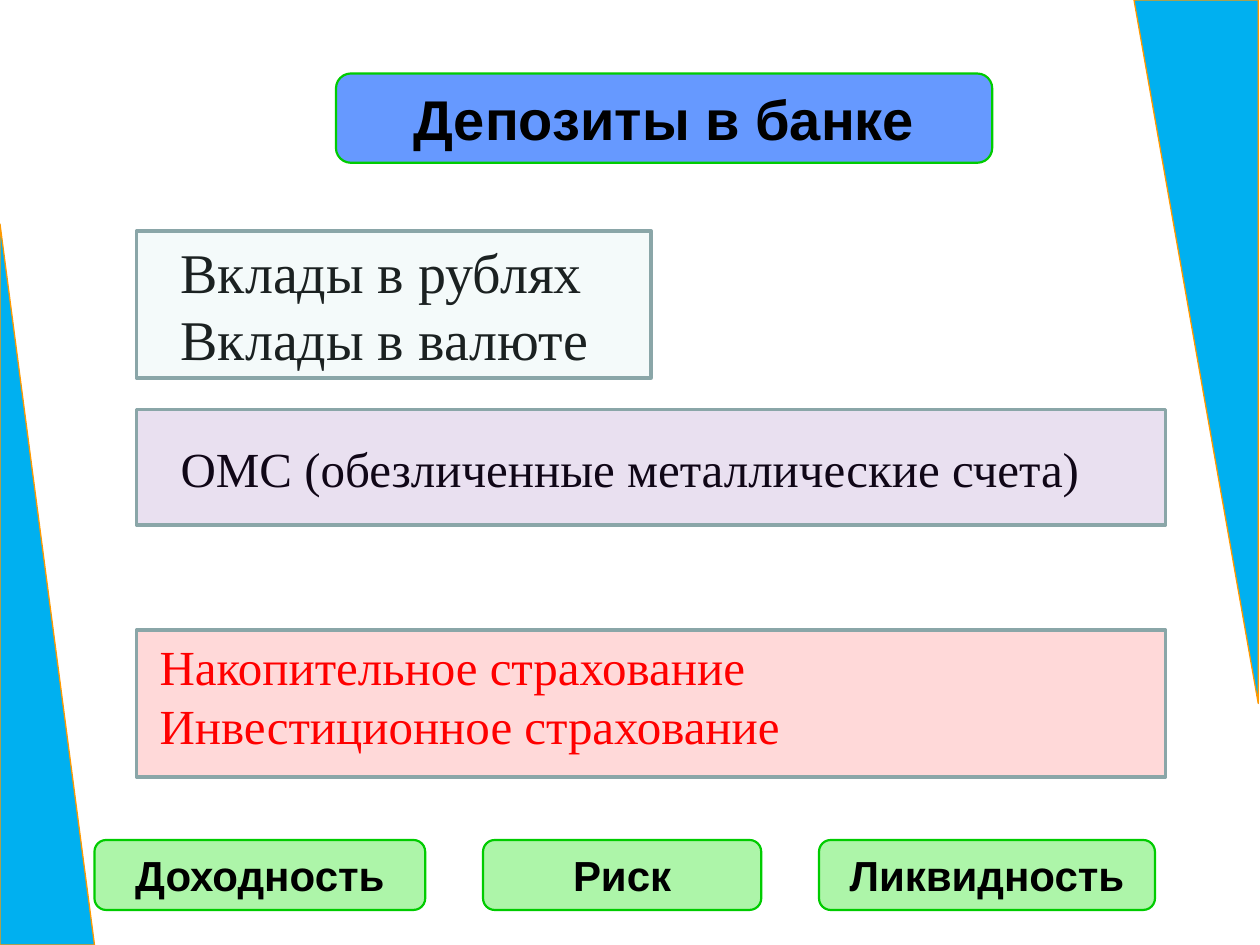
from lxml import etree
from pptx import Presentation
from pptx import util as u
from pptx.dml.color import RGBColor
from pptx.enum import shapes, text
from pptx.oxml.ns import qn

BLACK = RGBColor(0x00, 0x00, 0x00)
RED = RGBColor(0xFF, 0x00, 0x00)
SKY = RGBColor(0x00, 0xB0, 0xF0)
ORANGE = RGBColor(0xFF, 0x99, 0x00)
BLUE = RGBColor(0x66, 0x99, 0xFF)
GREEN = RGBColor(0x00, 0xCC, 0x00)
LIME = RGBColor(0xAD, 0xF5, 0xA9)
TEAL = RGBColor(0xBB, 0xE0, 0xE3)
PURPLE = RGBColor(0x70, 0x30, 0xA0)
GREY = RGBColor(0x8A, 0xA6, 0xA8)
KIND = shapes.MSO_SHAPE


class Deck:
    sans = "Arial"
    serif = "Times New Roman"
    leading = 1.2

    def __init__(self, slide):
        self.slide = slide

    def shape(self, kind, box, fill, line, width):
        item = self.slide.shapes.add_shape(kind, *map(u.Pt, box))
        item.shadow.inherit = False
        item.fill.solid()
        item.fill.fore_color.rgb = fill
        item.line.color.rgb = line
        item.line.width = u.Pt(width)
        return item

    def wedge(self, box, turn=0):
        self.shape(KIND.RIGHT_TRIANGLE, box, SKY, ORANGE, 0.75).rotation = turn

    def panel(self, box, fill):
        """Draw a frame with a fill of 15 % opacity."""
        item = self.shape(KIND.RECTANGLE, box, fill, GREY, 2)
        color = item.element.spPr.find(qn("a:solidFill"))[0]
        etree.SubElement(color, qn("a:alpha")).set("val", "15000")

    def pill(self, box, fill):
        return self.shape(KIND.ROUNDED_RECTANGLE, box, fill, GREEN, 1.25)

    def caption(self, item, words, size):
        frame = item.text_frame
        frame.text = words
        frame.word_wrap = True
        frame.auto_size = text.MSO_AUTO_SIZE.NONE
        frame.vertical_anchor = text.MSO_ANCHOR.MIDDLE
        para = frame.paragraphs[0]
        para.alignment = text.PP_ALIGN.CENTER
        self.style(para, self.sans, size, BLACK, True)

    def label(self, box, words):
        self.caption(self.pill(box, LIME), words, 24)

    def title(self, box, words):
        self.pill(box, BLUE)
        self.caption(self.place(self.slide.shapes.title, box), words, 32)

    def list(self, index, box, rows, color):
        """Fill a body placeholder with rows of (words, size, space before)."""
        frame = self.place(self.slide.placeholders[index], box).text_frame
        frame.text = "\n".join(words for words, _, _ in rows)
        frame.word_wrap = True
        frame.auto_size = text.MSO_AUTO_SIZE.NONE
        for para, (_, size, gap) in zip(frame.paragraphs, rows):
            props = para._p.get_or_add_pPr()
            props.set("marL", "0")
            props.set("indent", "0")
            etree.SubElement(props, qn("a:buNone"))
            para.line_spacing = u.Pt(size * self.leading)
            para.space_before = u.Pt(gap)
            self.style(para, self.serif, size, color, False)

    def place(self, holder, box):
        """Move a placeholder to the box and in front of what is drawn so far."""
        holder.left, holder.top, holder.width, holder.height = map(u.Pt, box)
        self.slide.shapes.element.append(holder.element)
        return holder

    def style(self, para, face, size, color, bold):
        for run in para.runs:
            run.font.name = face
            run.font.size = u.Pt(size)
            run.font.bold = bold
            run.font.color.rgb = color


def main():
    prs = Presentation()
    prs.slide_width, prs.slide_height = u.Pt(720), u.Pt(540)
    deck = Deck(prs.slides.add_slide(prs.slide_layouts[3]))

    deck.wedge((648, 0, 71, 402), 180)
    deck.wedge((0, 128, 54, 412))
    deck.title((192, 42, 375, 51), "Депозиты в банке")

    for left, width, words in (
        (54, 189, "Доходность"),
        (276, 159, "Риск"),
        (468, 192, "Ликвидность"),
    ):
        deck.label((left, 480, width, 40), words)

    deck.list(1, (96, 132, 588, 158), [
        ("Вклады в рублях", 32, 0),
        ("Вклады в валюте", 32, 0),
        ("ОМС (обезличенные металлические счета)", 28, 38.4),
    ], BLACK)
    for top, width, height, fill in (
        (132, 294, 84, TEAL),
        (234, 588, 66, PURPLE),
        (360, 588, 84, RED),
    ):
        deck.panel((78, top, width, height), fill)
    deck.list(2, (84, 360, 378, 75), [
        ("Накопительное страхование", 28, 0),
        ("Инвестиционное страхование", 28, 0),
    ], RED)

    prs.save("out.pptx")


if __name__ == "__main__":
    main()
